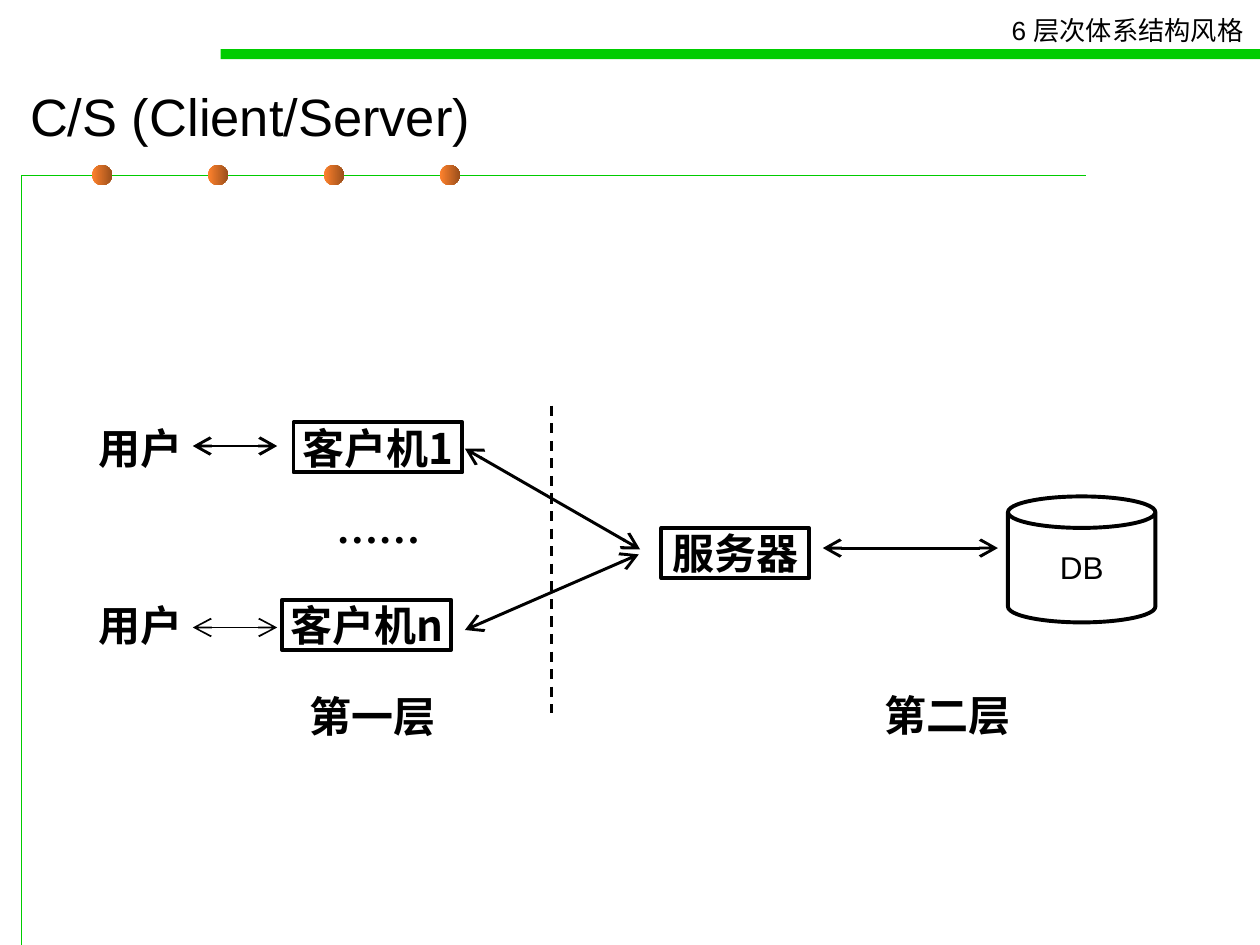
from dataclasses import dataclass

from lxml.etree import SubElement
from pptx import Presentation
from pptx.dml.color import RGBColor
from pptx.enum.shapes import MSO_CONNECTOR as Connector, MSO_SHAPE as Shape
from pptx.enum.text import MSO_ANCHOR as Anchor, PP_ALIGN as Align
from pptx.oxml.ns import qn
from pptx.util import Inches, Pt


@dataclass(frozen=True)
class Theme:
    black: RGBColor = RGBColor(0, 0, 0)
    white: RGBColor = RGBColor(255, 255, 255)
    green: RGBColor = RGBColor(0, 0xCC, 0)
    bead_light: RGBColor = RGBColor(0xFF, 0x82, 0x2D)
    bead_dark: RGBColor = RGBColor(0x9B, 0x4F, 0x1B)
    sans: str = "Arial"
    serif: str = "Times New Roman"
    chinese: str = "Noto Sans CJK SC"
    title_size: float = 30
    label_size: float = 24
    database_size: float = 18
    header_size: float = 15
    box_line: float = 2.24
    arrow_line: float = 1.7
    thin_line: float = 0.74


THEME = Theme()
LABEL_HEIGHT = 0.4
BOX_INSETS = (0.1, 0.05)


def write_text(shape, text, size, font, bold=False, align=Align.LEFT,
               insets=(0, 0), wrap=False):
    frame = shape.text_frame
    frame.word_wrap = wrap
    frame.vertical_anchor = Anchor.MIDDLE
    frame.margin_left = frame.margin_right = Inches(insets[0])
    frame.margin_top = frame.margin_bottom = Inches(insets[1])
    paragraph = frame.paragraphs[0]
    paragraph.alignment = align
    run = paragraph.add_run()
    run.text = text
    run.font.size = Pt(size)
    run.font.bold = bold
    run.font.name = font
    run.font.color.rgb = THEME.black
    properties = run._r.get_or_add_rPr()
    SubElement(properties, qn("a:ea")).set("typeface", THEME.chinese)


def add_text(slide, left, top, width, height, text, size, font, **style):
    box = slide.shapes.add_textbox(*map(Inches, (left, top, width, height)))
    write_text(box, text, size, font, **style)


def add_label(slide, left, top, width, text, font=THEME.chinese):
    add_text(slide, left, top, width, LABEL_HEIGHT, text,
             THEME.label_size, font, bold=True)


def add_plain_shape(slide, kind, left, top, width, height, fill=None, line=None):
    shape = slide.shapes.add_shape(kind, *map(Inches, (left, top, width, height)))
    shape.shadow.inherit = False
    if fill is None:
        shape.fill.background()
    else:
        shape.fill.solid()
        shape.fill.fore_color.rgb = fill
    if line is None:
        shape.line.fill.background()
    else:
        shape.line.color.rgb = line
        shape.line.width = Pt(THEME.box_line)
    return shape


def add_node(slide, left, top, width, text):
    node = add_plain_shape(slide, Shape.RECTANGLE, left, top, width, LABEL_HEIGHT,
                           line=THEME.black)
    write_text(node, text, THEME.label_size, THEME.chinese, bold=True,
               align=Align.CENTER)


def add_line(slide, start, end, width=THEME.arrow_line):
    connector = slide.shapes.add_connector(Connector.STRAIGHT,
                                           *map(Inches, (*start, *end)))
    connector.line.color.rgb = THEME.black
    connector.line.width = Pt(width)
    properties = connector._element.spPr
    SubElement(properties, qn("a:effectLst"))
    return properties.find(qn("a:ln"))


def add_double_arrow(slide, start, end, width=THEME.arrow_line):
    outline = add_line(slide, start, end, width)
    for tag in ("a:headEnd", "a:tailEnd"):
        head = SubElement(outline, qn(tag))
        for name, value in (("type", "arrow"), ("w", "lg"), ("len", "lg")):
            head.set(name, value)


def add_dashed_line(slide, start, end):
    outline = add_line(slide, start, end)
    dashes = SubElement(outline, qn("a:custDash"))
    dash = SubElement(dashes, qn("a:ds"))
    dash.set("d", "340000")
    dash.set("sp", "250000")


def add_bead(slide, left):
    bead = add_plain_shape(slide, Shape.OVAL, left, 1.31, 0.16, 0.16)
    bead.fill.gradient()
    bead.fill.gradient_angle = 0
    for stop, color in zip(bead.fill.gradient_stops,
                           (THEME.bead_light, THEME.bead_dark)):
        stop.color.rgb = color


def add_frame(slide):
    builder = slide.shapes.build_freeform(Inches(0.17), Inches(7.5), scale=1.0)
    corners = [(0.17, 1.39), (8.62, 1.39)]
    builder.add_line_segments([(Inches(x), Inches(y)) for x, y in corners], close=False)
    bracket = builder.convert_to_shape()
    bracket.shadow.inherit = False
    bracket.fill.background()
    bracket.line.color.rgb = THEME.green
    bracket.line.width = Pt(THEME.thin_line)
    for index in range(4):
        add_bead(slide, 0.73 + index * 0.92)
    add_plain_shape(slide, Shape.RECTANGLE, 1.75, 0.39, 8.25, 0.08, fill=THEME.green)
    add_text(slide, 7.93, 0.06, 2.09, 0.35, "6 层次体系结构风格",
             THEME.header_size, THEME.sans, insets=BOX_INSETS)
    add_text(slide, 0.14, 0.56, 9.29, 0.71, "C/S (Client/Server)",
             THEME.title_size, THEME.sans, insets=BOX_INSETS, wrap=True)


def add_client_tier(slide):
    clients = [("客户机1", 2.33, 3.35, 3.54, THEME.arrow_line),
               ("客户机n", 2.24, 4.76, 4.98, 1)]
    for name, left, top, arrow_y, arrow_width in clients:
        add_label(slide, 0.78, top, 0.67, "用户")
        add_double_arrow(slide, (1.53, arrow_y), (2.2, arrow_y), arrow_width)
        add_node(slide, left, top, 1.34, name)
    add_label(slide, 2.67, 3.98, 0.67, "……", THEME.serif)
    add_label(slide, 2.46, 5.48, 1, "第一层")


def add_server_tier(slide):
    add_node(slide, 5.25, 4.19, 1.17, "服务器")
    add_double_arrow(slide, (6.53, 4.35), (7.92, 4.35))
    database = add_plain_shape(slide, Shape.CAN, 8, 3.94, 1.17, 1,
                               fill=THEME.white, line=THEME.black)
    write_text(database, "DB", THEME.database_size, THEME.sans,
               align=Align.CENTER, insets=BOX_INSETS)
    add_label(slide, 7.02, 5.47, 1, "第二层")


def main():
    presentation = Presentation()
    presentation.slide_width = Inches(10)
    presentation.slide_height = Inches(7.5)
    slide = presentation.slides.add_slide(presentation.slide_layouts[6])
    add_frame(slide)
    add_client_tier(slide)
    add_server_tier(slide)
    add_double_arrow(slide, (3.69, 3.56), (5.08, 4.36))
    add_double_arrow(slide, (3.69, 5), (5.07, 4.4))
    add_dashed_line(slide, (4.38, 3.22), (4.38, 5.66))
    presentation.save("out.pptx")


main()
